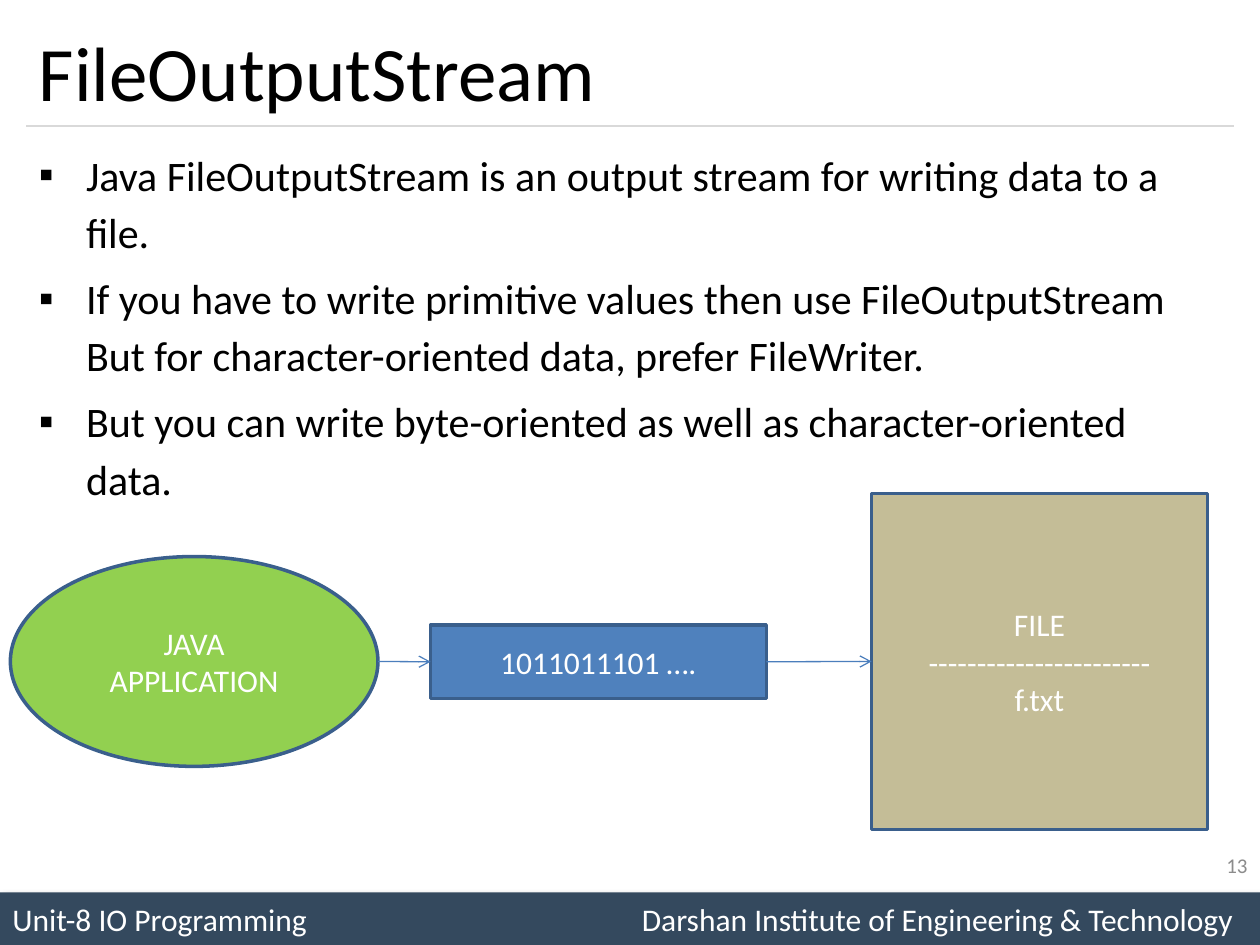
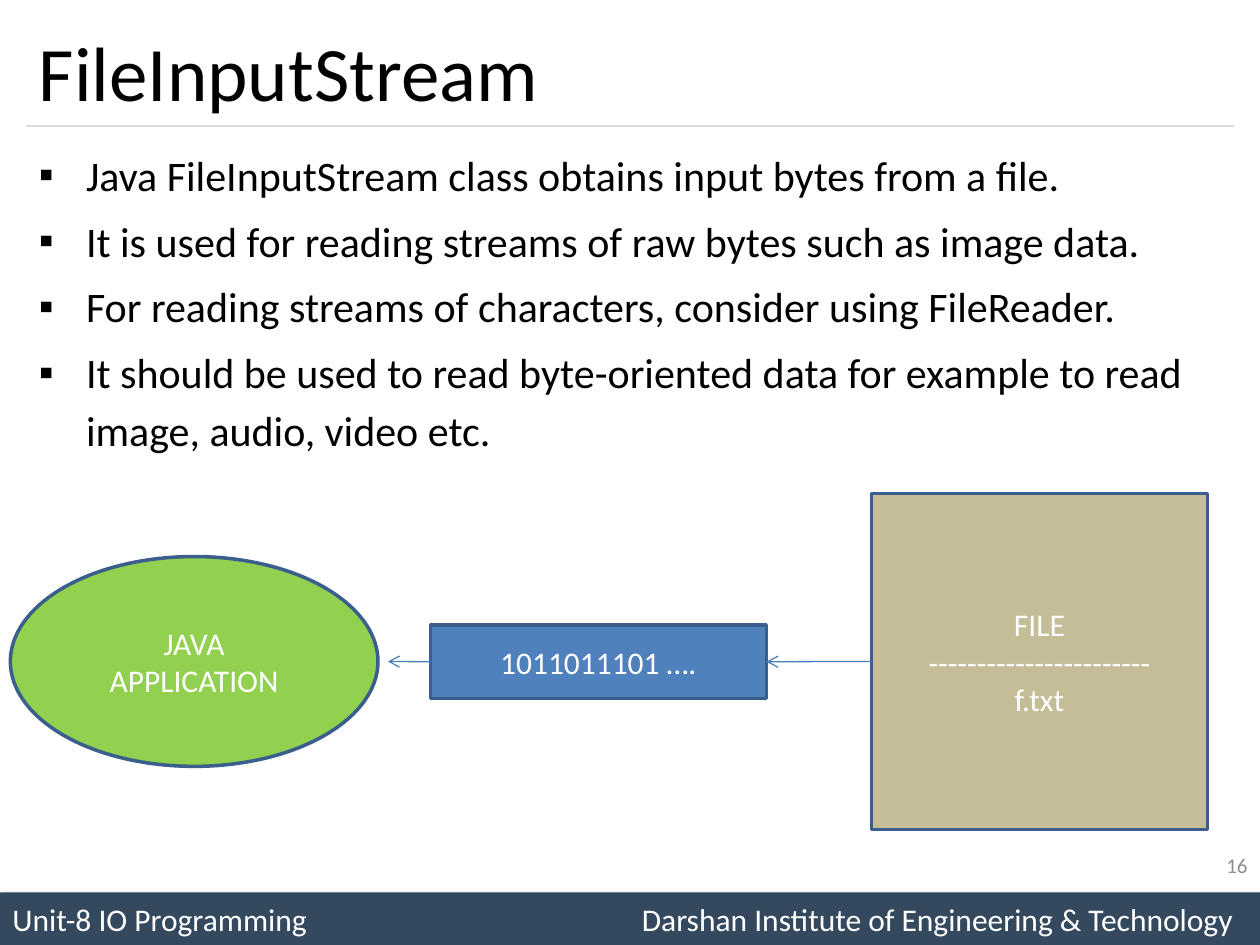
from dataclasses import dataclass

from lxml.etree import SubElement
from pptx import Presentation
from pptx.dml.color import RGBColor
from pptx.enum.shapes import MSO_CONNECTOR as Link, MSO_SHAPE as Preset
from pptx.enum.text import MSO_ANCHOR as Anchor, MSO_AUTO_SIZE as AutoSize, PP_ALIGN as Align
from pptx.oxml.ns import qn
from pptx.util import Cm, Pt

FONT = "Calibri"
WHITE, BLACK, GREY = "FFFFFF", "000000", "8C8C8C"
BAND, RULE = "34495E", "D9D9D9"
OUTLINE, ARROW = "3A5F8C", "4B7EBC"
MARGIN, CONTENT_WIDTH = 0.53, 24.34
LEFT_SIDE, RIGHT_SIDE = 1, 3
HANGING = Cm(0.95)


@dataclass(frozen=True)
class Node:
    preset: Preset
    left: float
    top: float
    width: float
    height: float
    fill: str
    text: str


@dataclass(frozen=True)
class StreamSlide:
    title: str
    points: tuple[str, ...]
    number: int
    reads_file: bool


APPLICATION = Node(Preset.OVAL, 0.21, 11.22, 7.41, 4.23, "92D050", "JAVA\nAPPLICATION")
STREAM = Node(Preset.RECTANGLE, 8.68, 12.6, 6.77, 1.48, "4F81BD", "1011011101 ….")
FILE = Node(Preset.RECTANGLE, 17.57, 9.95, 6.77, 6.77, "C4BD97",
            "FILE\n-----------------------\nf.txt")

SLIDES = (
    StreamSlide("FileOutputStream", (
        "Java FileOutputStream is an output stream for writing data to a file.",
        "If you have to write primitive values then use FileOutputStream "
        "But for character-oriented data, prefer FileWriter.",
        "But you can write byte-oriented as well as character-oriented data.",
    ), 13, False),
    StreamSlide("FileInputStream", (
        "Java FileInputStream class obtains input bytes from a file.",
        "It is used for reading streams of raw bytes such as image data.",
        "For reading streams of characters, consider using FileReader.",
        "It should be used to read byte-oriented data for example to read "
        "image, audio, video etc.",
    ), 16, True),
)


def colour(code: str) -> RGBColor:
    return RGBColor.from_string(code)


def place(shape, left: float, top: float, width: float, height: float) -> None:
    shape.left, shape.top = Cm(left), Cm(top)
    shape.width, shape.height = Cm(width), Cm(height)


def write(shape, text: str, size: int, code: str, align: Align = Align.LEFT,
          anchor: Anchor = Anchor.MIDDLE) -> None:
    frame = shape.text_frame
    frame.text = text
    frame.word_wrap = True
    frame.auto_size = AutoSize.NONE
    frame.vertical_anchor = anchor
    for paragraph in frame.paragraphs:
        paragraph.alignment = align
        for run in paragraph.runs:
            run.font.name = FONT
            run.font.size = Pt(size)
            run.font.color.rgb = colour(code)


def add_filled(slide, preset: Preset, box: tuple[float, ...], fill: str):
    shape = slide.shapes.add_shape(preset, *map(Cm, box))
    shape.shadow.inherit = False
    shape.fill.solid()
    shape.fill.fore_color.rgb = colour(fill)
    return shape


def add_line(slide, start: tuple[float, float], end: tuple[float, float], code: str):
    line = slide.shapes.add_connector(Link.STRAIGHT, *map(Cm, start + end))
    line.line.color.rgb = colour(code)
    line.line.width = Pt(0.75)
    SubElement(line._element.spPr, qn("a:effectLst"))
    return line


def add_arrow(slide, start: tuple[float, float], end: tuple[float, float]):
    arrow = add_line(slide, start, end, ARROW)
    SubElement(arrow._element.spPr.find(qn("a:ln")), qn("a:tailEnd"), type="arrow")
    return arrow


def add_footer(slide, number: int) -> None:
    band = add_filled(slide, Preset.RECTANGLE, (0, 17.99, 25.4, 1.06), BAND)
    band.line.fill.background()
    effects = band._element.spPr.find(qn("a:effectLst"))
    shadow = SubElement(effects, qn("a:outerShdw"), blurRad=str(Pt(4)), dist=str(Pt(3)),
                        dir=str(45 * 60000), algn="tl", rotWithShape="0")
    shade = SubElement(shadow, qn("a:srgbClr"), val=BLACK)
    SubElement(shade, qn("a:alpha"), val="40000")
    write(band, "Unit-8 IO Programming\tDarshan Institute of Engineering & Technology", 18, WHITE)
    properties = band.text_frame.paragraphs[0]._p.get_or_add_pPr()
    tabs = SubElement(properties, qn("a:tabLst"))
    SubElement(tabs, qn("a:tab"), pos=str(Cm(12.69)), algn="l")

    page = slide.shapes.add_textbox(Cm(19.47), Cm(16.93), Cm(5.93), Cm(1.01))
    write(page, str(number), 12, GREY, Align.RIGHT)


def add_title(slide, title: str) -> None:
    place(slide.shapes.title, MARGIN, 0.3, CONTENT_WIDTH, 2.24)
    write(slide.shapes.title, title, 44, BLACK)
    add_line(slide, (MARGIN, 2.54), (MARGIN + CONTENT_WIDTH, 2.54), RULE)


def add_points(slide, points: tuple[str, ...]) -> None:
    body = slide.placeholders[1]
    place(body, MARGIN, 2.74, CONTENT_WIDTH, 14.81)
    write(body, "\n".join(points), 24, BLACK, anchor=Anchor.TOP)
    for index, paragraph in enumerate(body.text_frame.paragraphs):
        properties = paragraph._p.get_or_add_pPr()
        properties.set("marL", str(HANGING))
        properties.set("indent", str(-HANGING))
        SubElement(properties, qn("a:buChar"), char="▪")
        paragraph.line_spacing = 1.14
        paragraph.space_before = Pt(4.8 if index else 0)


def add_node(slide, node: Node):
    shape = add_filled(slide, node.preset, (node.left, node.top, node.width, node.height), node.fill)
    shape.line.color.rgb = colour(OUTLINE)
    shape.line.width = Pt(2)
    write(shape, node.text, 18, WHITE, Align.CENTER)
    return shape


def side(node: Node, right: bool) -> tuple[float, float]:
    return node.left + node.width * right, node.top + node.height / 2


def add_diagram(slide, reads_file: bool) -> None:
    _, stream, file = [add_node(slide, node) for node in (APPLICATION, STREAM, FILE)]
    application_right, stream_left = side(APPLICATION, True), side(STREAM, False)
    stream_right, file_left = side(STREAM, True), side(FILE, False)
    if reads_file:
        from_file = add_arrow(slide, file_left, stream_right)
        from_file.begin_connect(file, LEFT_SIDE)
        from_file.end_connect(stream, RIGHT_SIDE)
        gap_end = (application_right[0] + 0.2, application_right[1])
        to_application = add_arrow(slide, stream_left, gap_end)
        to_application.begin_connect(stream, LEFT_SIDE)
    else:
        from_application = add_arrow(slide, application_right, stream_left)
        from_application.end_connect(stream, LEFT_SIDE)
        to_file = add_arrow(slide, stream_right, file_left)
        to_file.begin_connect(stream, RIGHT_SIDE)
        to_file.end_connect(file, LEFT_SIDE)


def main() -> None:
    deck = Presentation()
    deck.slide_width, deck.slide_height = Cm(25.4), Cm(19.05)
    for content in SLIDES:
        slide = deck.slides.add_slide(deck.slide_layouts[1])
        add_footer(slide, content.number)
        add_title(slide, content.title)
        add_points(slide, content.points)
        add_diagram(slide, content.reads_file)
    deck.save("out.pptx")


if __name__ == "__main__":
    main()
